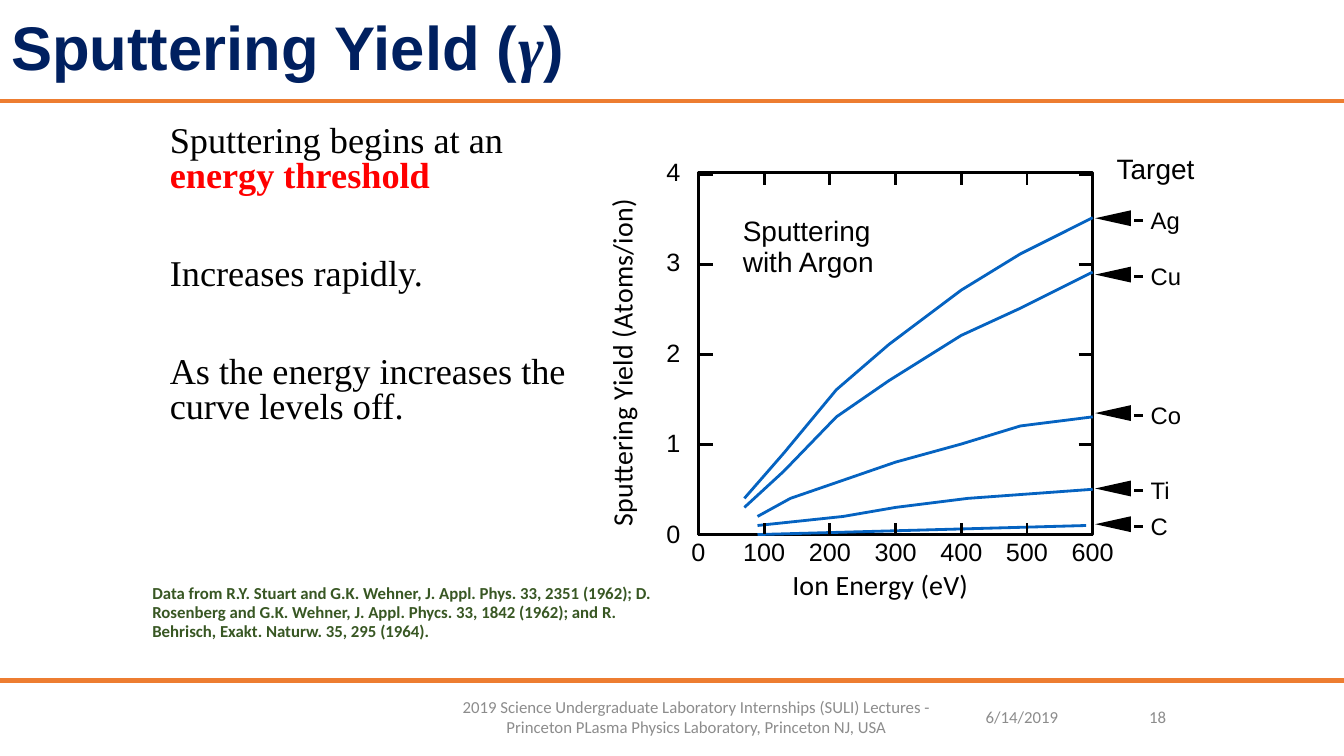
from lxml import etree
from pptx import Presentation
from pptx.chart.data import XyChartData
from pptx.dml.color import RGBColor
from pptx.enum.chart import XL_CHART_TYPE, XL_TICK_MARK
from pptx.enum.shapes import MSO_CONNECTOR
from pptx.enum.text import MSO_ANCHOR, PP_ALIGN
from pptx.oxml import parse_xml
from pptx.oxml.ns import nsdecls, qn
from pptx.util import Cm, Pt

LINES = XL_CHART_TYPE.XY_SCATTER_LINES_NO_MARKERS
NO_TICK = XL_TICK_MARK.NONE
STRAIGHT = MSO_CONNECTOR.STRAIGHT
TOP, MIDDLE = MSO_ANCHOR.TOP, MSO_ANCHOR.MIDDLE
LEFT, CENTER, RIGHT = PP_ALIGN.LEFT, PP_ALIGN.CENTER, PP_ALIGN.RIGHT

BLACK, BLUE, NAVY, ORANGE = "000000", "0563C1", "002060", "ED7D31"
GRAY, GREEN, RED = "8C8C8C", "385723", "FF0000"
SERIF = "Times New Roman"
FRAME = (14.5, 3.6, 13.7, 11.8)
AREA = (17.6, 4.35, 9.94, 9.18)
TICKS = (17.6, 4.39, 9.94, 9.07)
TIPS = {"Ag": 5.5, "Cu": 6.92, "Co": 10.41, "Ti": 12.31, "C": 13.21}
YIELDS = {
    "Ag": [(70, 0.4), (130, 0.9), (210, 1.6), (290, 2.1),
           (400, 2.7), (490, 3.1), (600, 3.5)],
    "Cu": [(70, 0.3), (130, 0.7), (210, 1.3), (290, 1.7),
           (400, 2.2), (490, 2.5), (600, 2.9)],
    "Co": [(90, 0.2), (140, 0.4), (220, 0.6), (300, 0.8),
           (400, 1.0), (490, 1.2), (600, 1.3)],
    "Ti": [(90, 0.1), (220, 0.2), (300, 0.3), (410, 0.4), (600, 0.5)],
    "C": [(90, 0.0), (590, 0.1)],
}


def color(code):
    """Turn a hex string into a colour."""
    return RGBColor.from_string(code)


def style(font, size, code, name="Arial", bold=False, italic=False):
    """Set the look of a font."""
    font.size, font.name = Pt(size), name
    font.bold, font.italic = bold, italic
    font.color.rgb = color(code)


def add_run(para, text, *look, **extra):
    """Add one styled run to a paragraph."""
    run = para.add_run()
    run.text = text
    style(run.font, *look, **extra)


def add_text(slide, box, paras, align=LEFT, anchor=TOP, wrap=True,
             spacing=0.93, gap=0):
    """Add a text box of paragraphs, each a list of runs."""
    frame = slide.shapes.add_textbox(*map(Cm, box)).text_frame
    frame.word_wrap, frame.vertical_anchor = wrap, anchor
    for index, runs in enumerate(paras):
        para = frame.add_paragraph() if index else frame.paragraphs[0]
        para.alignment, para.line_spacing = align, spacing
        if index:
            para.space_before = Pt(gap)
        for run in runs:
            add_run(para, *run)


def add_line(slide, start, end, code=BLACK, width=2):
    """Draw a straight line between two points."""
    line = slide.shapes.add_connector(STRAIGHT, *map(Cm, (*start, *end)))
    line.line.color.rgb, line.line.width = color(code), Pt(width)
    etree.SubElement(line._element.spPr, qn("a:effectLst"))


def add_title(slide):
    """Place and fill the title."""
    title = slide.shapes.title
    title.left, title.top, title.width, title.height = map(
        Cm, (0.03, 0, 33.83, 2.54))
    frame = title.text_frame
    frame.vertical_anchor = MIDDLE
    para = frame.paragraphs[0]
    para.alignment, para.line_spacing = LEFT, 0.9
    add_run(para, "Sputtering Yield (", 44, NAVY, bold=True)
    add_run(para, "γ", 44, NAVY, SERIF, bold=True, italic=True)
    add_run(para, ")", 44, NAVY, bold=True)


def set_place(node, index, box, inner=False):
    """Pin a chart part at a place within the chart frame."""
    for old in node.findall(qn("c:layout")):
        node.remove(old)
    left, top, width, height = FRAME
    parts = [(box[0] - left) / width, (box[1] - top) / height]
    body = '<c:layoutTarget val="inner"/>' if inner else ""
    body += '<c:xMode val="edge"/><c:yMode val="edge"/>'
    if inner:
        parts += [box[2] / width, box[3] / height]
    for key, part in zip("xywh", parts):
        body += f'<c:{key} val="{part:.4f}"/>'
    node.insert(index, parse_xml(
        f'<c:layout {nsdecls("c")}><c:manualLayout>{body}'
        '</c:manualLayout></c:layout>'))


def set_axis(axis, top, step, form, label, place, turn):
    """Scale an axis and give it labels and a title."""
    axis.minimum_scale, axis.maximum_scale, axis.major_unit = 0, top, step
    axis.has_major_gridlines = False
    axis.major_tick_mark = axis.minor_tick_mark = NO_TICK
    axis.format.line.color.rgb = color(BLACK)
    axis.format.line.width = Pt(2)
    axis.tick_labels.number_format = form
    axis.tick_labels.number_format_is_linked = False
    style(axis.tick_labels.font, 18, BLACK)
    frame = axis.axis_title.text_frame
    add_run(frame.paragraphs[0], label, 20, BLACK, "Calibri")
    frame._txBody.bodyPr.set("rot", str(turn * 60000))
    set_place(axis.axis_title._element, 1, place)


def add_plot(slide):
    """Add the yield chart with its framed plot area."""
    data = XyChartData()
    for name, points in YIELDS.items():
        series = data.add_series(name)
        for point in points:
            series.add_data_point(*point)
    chart = slide.shapes.add_chart(LINES, *map(Cm, FRAME), data).chart
    chart.has_legend = chart.has_title = False
    style(chart.font, 18, BLACK)
    set_axis(chart.category_axis, 600, 100, "0", "Ion Energy (eV)",
             (19.84, 14.17), 0)
    set_axis(chart.value_axis, 4, 1, "0_0", "Sputtering Yield (Atoms/ion)",
             (15.04, 4.95), -90)
    chart.plots[0].vary_by_categories = False
    for series in chart.plots[0].series:
        series.smooth = False
        series.format.line.color.rgb = color(BLUE)
        series.format.line.width = Pt(2)
    area = chart._chartSpace.chart.plotArea
    set_place(area, 0, AREA, inner=True)
    area.append(parse_xml(
        f'<c:spPr {nsdecls("c", "a")}><a:noFill/><a:ln w="25400"><a:solidFill>'
        f'<a:srgbClr val="{BLACK}"/></a:solidFill></a:ln></c:spPr>'))


def add_ticks(slide):
    """Draw inward ticks on all four sides of the plot."""
    left, top, width, height = TICKS
    for step in range(5):
        y = top + height * step / 4
        for x in (left, left + width - 0.36):
            add_line(slide, (x, y), (x + 0.36, y))
    for step in range(7):
        x = left + width * step / 6
        for y in (top, top + height - 0.28):
            add_line(slide, (x, y), (x, y + 0.28))


def add_target(slide, name, tip):
    """Add the pointer and label of one target metal."""
    pen = slide.shapes.build_freeform(Cm(27.6), Cm(tip))
    pen.add_line_segments([(Cm(28.5), Cm(tip - 0.2)),
                           (Cm(28.5), Cm(tip + 0.2))])
    wedge = pen.convert_to_shape()
    wedge.shadow.inherit = False
    wedge.fill.solid()
    wedge.fill.fore_color.rgb = color(BLACK)
    wedge.line.fill.background()
    add_line(slide, (28.58, tip + 0.05), (28.8, tip + 0.05))
    add_text(slide, (28.75, tip - 0.38, 1.3, 0.94),
             [[(name, 17, BLACK)]], wrap=False)


def main():
    """Build the slide and save it."""
    deck = Presentation()
    deck.slide_width, deck.slide_height = Cm(33.87), Cm(19.05)
    slide = deck.slides.add_slide(deck.slide_layouts[5])
    for y in (2.54, 17.15):
        add_line(slide, (0, y), (33.87, y), ORANGE, 3)
    add_title(slide)
    body = (25.9, BLACK, SERIF)
    add_text(slide, (4.03, 3.05, 10.6, 7.9), [
        [("Sputtering begins at an ", *body),
         ("energy threshold", 25.9, RED, SERIF, True)],
        [("Increases rapidly.", *body)],
        [("As the energy increases the curve levels off.", *body)],
    ], spacing=0.8, gap=45)
    add_plot(slide)
    add_ticks(slide)
    add_text(slide, (18.47, 5.33, 3.89, 1.85), [
        [("Sputtering", 20, BLACK)], [("with Argon", 20, BLACK)]], wrap=False)
    add_text(slide, (27.89, 3.76, 2.54, 1.07),
             [[("Target", 20, BLACK)]], wrap=False)
    for name, tip in TIPS.items():
        add_target(slide, name, tip)
    source = ("Data from R.Y. Stuart and G.K. Wehner, J. Appl. Phys. 33, 2351 "
              "(1962); D. Rosenberg and G.K. Wehner, J. Appl. Phycs. 33, 1842 "
              "(1962); and R. Behrisch, Exakt. Naturw. 35, 295 (1964).")
    add_text(slide, (3.59, 14.61, 13.82, 1.98),
             [[(source, 12, GREEN, "Calibri", True)]])
    event = ("2019 Science Undergraduate Laboratory Internships (SULI) Lectures "
             "- Princeton PLasma Physics Laboratory, Princeton NJ, USA")
    for text, left, width, align in ((event, 10.57, 13.97, CENTER),
                                     ("6/14/2019", 24.59, 2.54, LEFT),
                                     ("18", 27.1, 2.54, RIGHT)):
        add_text(slide, (left, 17.17, width, 1.78),
                 [[(text, 12, GRAY, "Calibri")]], align, MIDDLE, spacing=1.0)
    deck.save("out.pptx")


if __name__ == "__main__":
    main()
